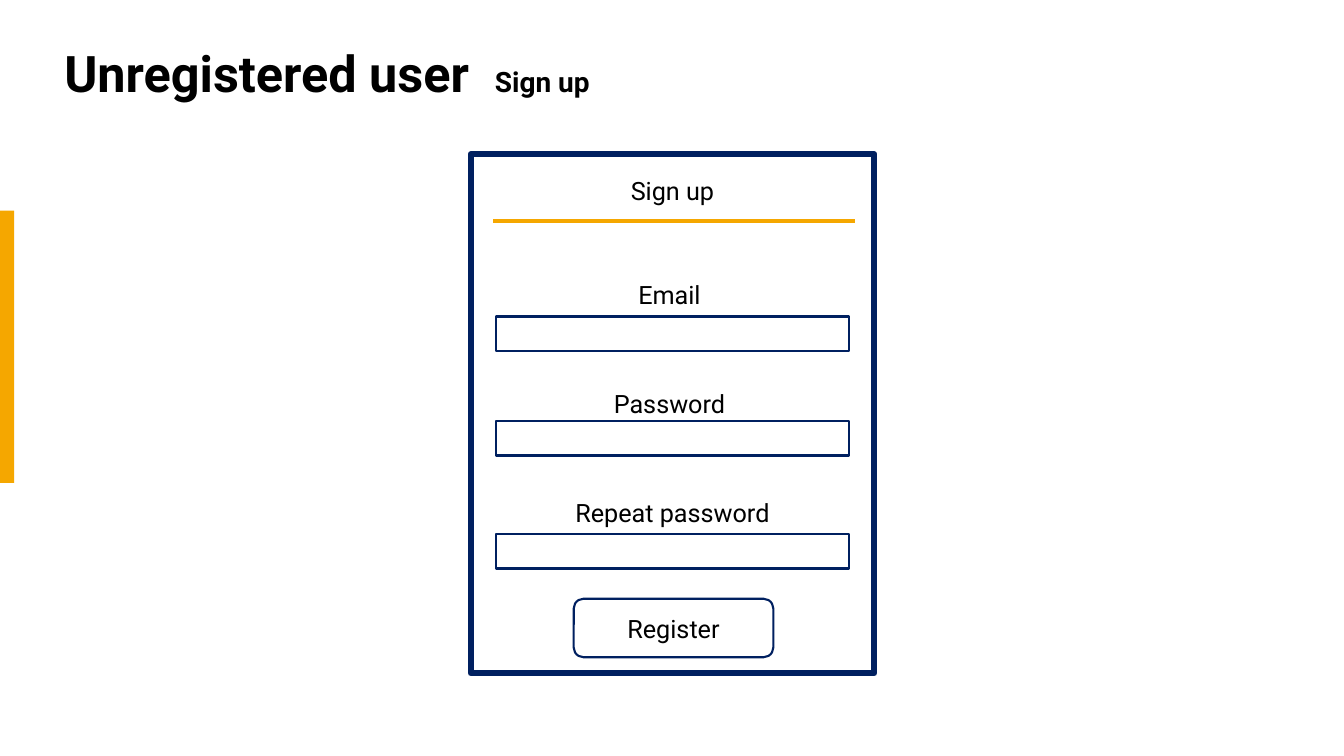
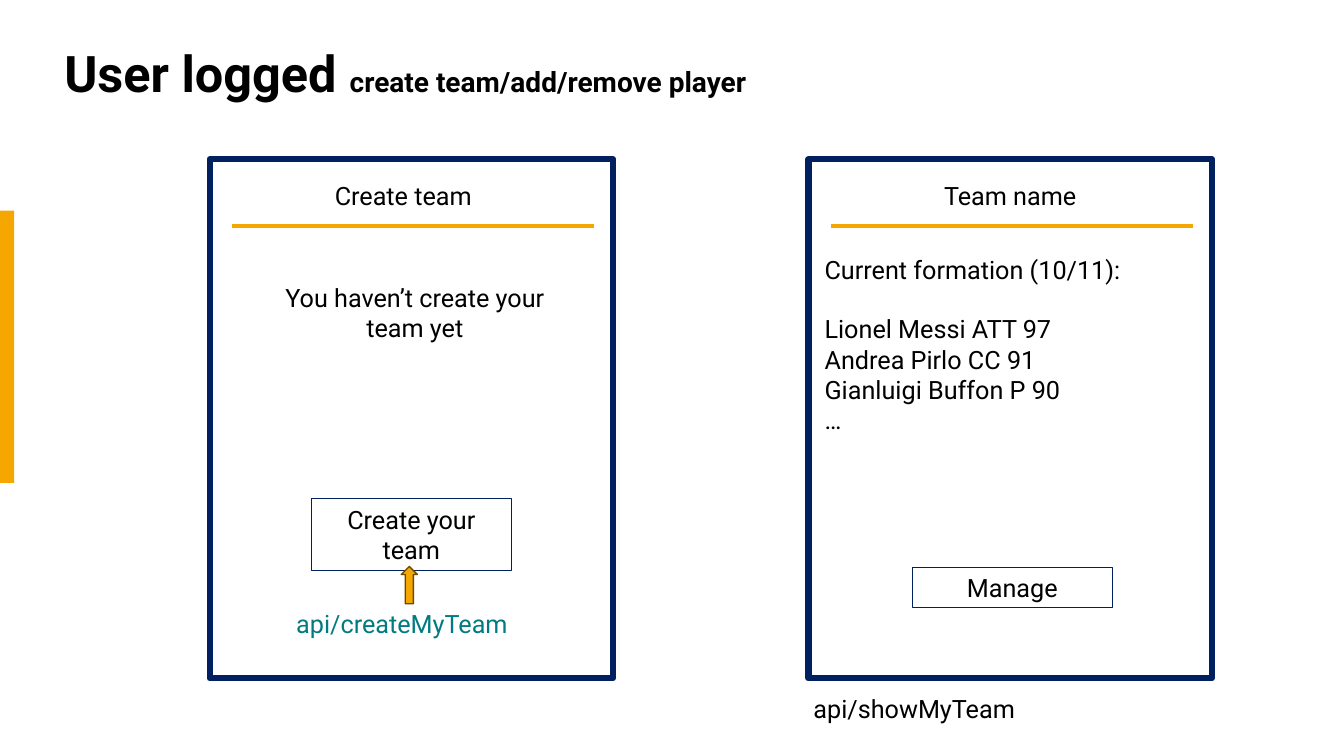
from dataclasses import dataclass

from lxml import etree
from pptx import Presentation
from pptx.dml.color import RGBColor
from pptx.enum.shapes import MSO_CONNECTOR, MSO_SHAPE
from pptx.enum.text import MSO_ANCHOR, PP_ALIGN
from pptx.oxml.ns import qn
from pptx.util import Inches, Pt

BLACK = RGBColor(0x00, 0x00, 0x00)
WHITE = RGBColor(0xFF, 0xFF, 0xFF)
NAVY = RGBColor(0x00, 0x20, 0x60)
AMBER = RGBColor(0xF5, 0xA7, 0x00)
BROWN = RGBColor(0x6B, 0x49, 0x00)
TEAL = RGBColor(0x00, 0x7C, 0x80)

RECTANGLE = MSO_SHAPE.RECTANGLE
ROUNDED = MSO_SHAPE.ROUNDED_RECTANGLE
UP_ARROW = MSO_SHAPE.UP_ARROW
STRAIGHT = MSO_CONNECTOR.STRAIGHT
LEFT, CENTER = PP_ALIGN.LEFT, PP_ALIGN.CENTER
TOP, MIDDLE = MSO_ANCHOR.TOP, MSO_ANCHOR.MIDDLE

FONT = "Roboto"
BODY_SIZE = 18
LINE_HEIGHT = 0.4
PANEL_WIDTH, PANEL_HEIGHT = 4, 5.15
TITLE_LEFT, TITLE_INSET = 0.54, 0.1


@dataclass(frozen=True)
class Panel:
    title: str
    left: float
    top: float
    title_shift: float = 0


@dataclass(frozen=True)
class Field:
    label: str
    label_left: float
    label_top: float
    input_top: float


@dataclass(frozen=True)
class Button:
    text: str
    left: float
    top: float
    height: float
    kind: int = RECTANGLE
    line_width: float = 0.75


SIGN_UP_PANEL = Panel("Sign up", 4.67, 1.53)
CREATE_PANEL = Panel("Create team", 2.08, 1.58, title_shift=-0.08)
TEAM_PANEL = Panel("Team name", 8.02, 1.58)

FIELDS = (
    Field("Email", 4.77, 2.72, 3.14),
    Field("Password", 4.77, 3.8, 4.18),
    Field("Repeat password", 4.8, 4.88, 5.3),
)

REGISTER = Button("Register", 5.69, 5.94, 0.58, ROUNDED, 1.5)
TEAM_BUTTONS = (
    Button("Create your team", 3.09, 4.95, 0.71),
    Button("Manage", 9.05, 5.63, 0.4),
)

PLAYERS = ("Lionel Messi ATT 97", "Andrea Pirlo CC 91", "Gianluigi Buffon P 90", "…")


def add_span(para, text: str, size: float = BODY_SIZE, color=BLACK, bold: bool = False):
    span = para.add_run()
    span.text = text
    span.font.name = FONT
    span.font.size = Pt(size)
    span.font.color.rgb = color
    span.font.bold = bold


def write(frame, text: str, *, color=BLACK, align=CENTER, anchor=TOP):
    """Fill a text frame, one paragraph for each line of text."""
    frame.word_wrap = True
    frame.vertical_anchor = anchor
    for index, line in enumerate(text.split("\n")):
        para = frame.add_paragraph() if index else frame.paragraphs[0]
        para.alignment = align
        add_span(para, line, color=color)


def add_text(page, text: str, left: float, top: float, width: float,
             height: float = LINE_HEIGHT, **text_format):
    box = page.shapes.add_textbox(Inches(left), Inches(top), Inches(width), Inches(height))
    write(box.text_frame, text, **text_format)
    return box


def add_box(page, left: float, top: float, width: float, height: float, *,
            kind=RECTANGLE, fill=None, line=None, line_width: float = 1):
    box = page.shapes.add_shape(kind, Inches(left), Inches(top), Inches(width), Inches(height))
    box.shadow.inherit = False
    if fill is None:
        box.fill.background()
    else:
        box.fill.solid()
        box.fill.fore_color.rgb = fill
    if line is None:
        box.line.fill.background()
    else:
        box.line.color.rgb = line
        box.line.width = Pt(line_width)
    return box


def add_rule(page, left: float, top: float, width: float):
    rule = page.shapes.add_connector(
        STRAIGHT, Inches(left), Inches(top), Inches(left + width), Inches(top))
    rule.line.color.rgb = AMBER
    rule.line.width = Pt(3)
    etree.SubElement(rule._element.spPr, qn("a:effectLst"))


def add_page(deck, title: str, subtitle: str, subtitle_left: float):
    """Add a page with the side band and a two-size title."""
    page = deck.slides.add_slide(deck.slide_layouts[6])
    box = page.shapes.add_textbox(Inches(TITLE_LEFT), Inches(0.4), Inches(10.34), Inches(0.72))
    frame = box.text_frame
    frame.word_wrap = True
    frame.vertical_anchor = MIDDLE
    para = frame.paragraphs[0]
    tabs = etree.SubElement(para._p.get_or_add_pPr(), qn("a:tabLst"))
    position = Inches(subtitle_left - TITLE_LEFT - TITLE_INSET)
    etree.SubElement(tabs, qn("a:tab"), pos=str(position), algn="l")
    para.line_spacing = 0.9
    add_span(para, f"{title}\t", size=36, bold=True)
    add_span(para, subtitle, size=20, bold=True)
    add_box(page, 0, 2.09, 0.14, 2.7, fill=AMBER)
    return page


def add_panel(page, panel: Panel):
    add_box(page, panel.left, panel.top, PANEL_WIDTH, PANEL_HEIGHT,
            fill=WHITE, line=NAVY, line_width=4.5)
    add_text(page, panel.title, panel.left + panel.title_shift, panel.top + 0.16, PANEL_WIDTH)
    add_rule(page, panel.left + 0.22, panel.top + 0.66, 3.59)


def add_field(page, field: Field):
    add_text(page, field.label, field.label_left, field.label_top, 3.74)
    add_box(page, 4.92, field.input_top, 3.5, 0.34, fill=WHITE, line=NAVY, line_width=1.5)


def add_button(page, button: Button):
    box = add_box(page, button.left, button.top, 1.98, button.height,
                  kind=button.kind, line=NAVY, line_width=button.line_width)
    write(box.text_frame, button.text, anchor=MIDDLE)


def build_sign_up(deck):
    page = add_page(deck, "Unregistered user", "Sign up", 4.91)
    add_panel(page, SIGN_UP_PANEL)
    for field in FIELDS:
        add_field(page, field)
    add_button(page, REGISTER)


def build_team(deck):
    page = add_page(deck, "User logged", "create team/add/remove player", 3.47)
    for panel in (CREATE_PANEL, TEAM_PANEL):
        add_panel(page, panel)
    add_text(page, "You haven’t create your team yet", 2.46, 2.75, 3.31, 0.71)
    formation = add_text(page, "\n".join(("Current formation (10/11):", *PLAYERS)),
                         8.08, 2.47, 3.31, 1.92, align=LEFT)
    formation.text_frame.paragraphs[1].space_before = Pt(21)
    for button in TEAM_BUTTONS:
        add_button(page, button)
    add_text(page, "api/createMyTeam", 2.84, 5.99, 2.54, color=TEAL, align=LEFT)
    add_text(page, "api/showMyTeam", 7.97, 6.83, 4, align=LEFT)
    add_box(page, 3.98, 5.62, 0.16, 0.37, kind=UP_ARROW, fill=AMBER, line=BROWN)


def main():
    deck = Presentation()
    deck.slide_width = Inches(13.33)
    deck.slide_height = Inches(7.5)
    build_sign_up(deck)
    build_team(deck)
    deck.save("out.pptx")


if __name__ == "__main__":
    main()
